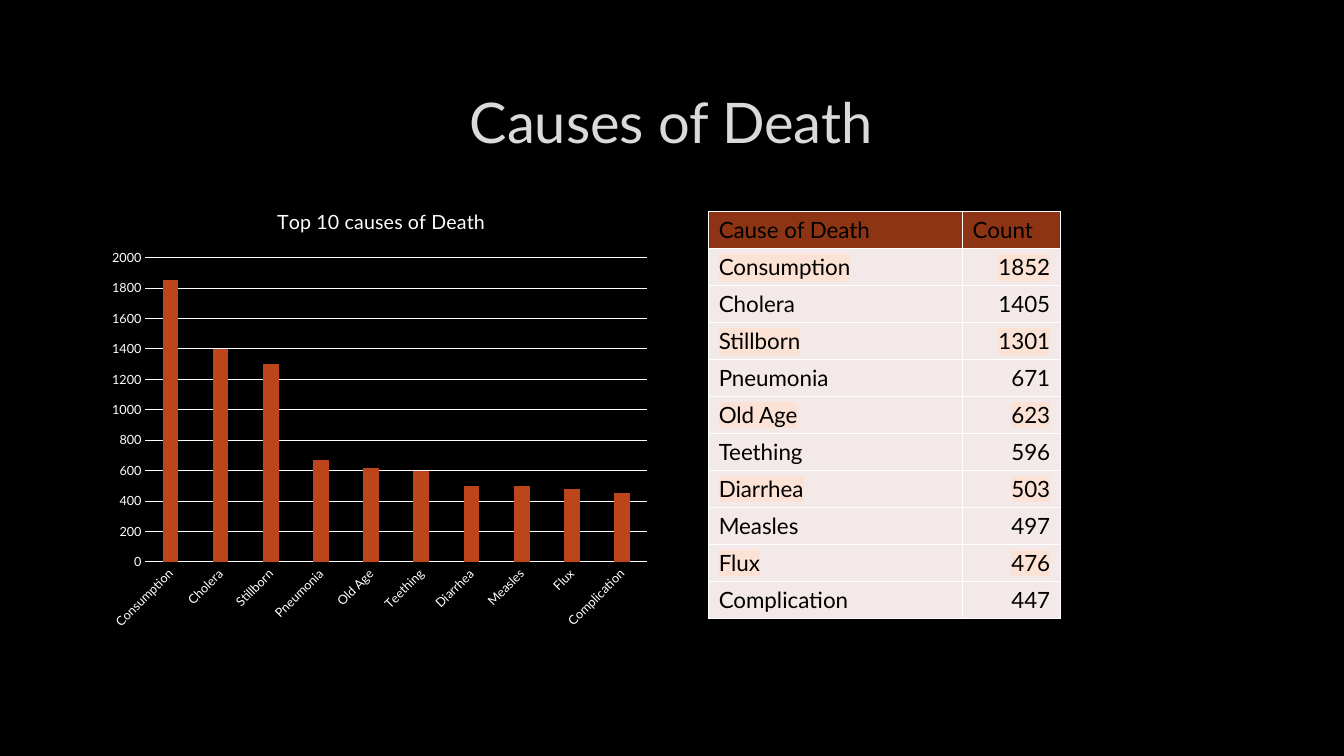
from dataclasses import dataclass

from lxml.etree import SubElement
from pptx import Presentation
from pptx.chart.data import CategoryChartData
from pptx.dml.color import RGBColor
from pptx.enum.chart import XL_CHART_TYPE as ChartType, XL_TICK_MARK as TickMark
from pptx.enum.text import MSO_ANCHOR as Anchor, PP_ALIGN as Align
from pptx.oxml import parse_xml
from pptx.oxml.ns import nsdecls, qn
from pptx.util import Cm, Pt


@dataclass(frozen=True)
class Theme:
    font: str = "Lato"
    background: str = "000000"
    title: str = "DADADA"
    title_outline: str = "404040"
    line: str = "FFFFFF"
    chart_text: str = "FFFFFF"
    bar: str = "BC451B"
    table_text: str = "000000"
    header: str = "8D3414"
    body: str = "F3E9E8"
    highlight: str = "FBE2D5"
    title_size: float = 40
    table_size: float = 16
    chart_title_size: float = 14
    chart_size: float = 10
    axis_size: float = 9
    grid_width: float = 0.75
    border_width: float = 1


CAUSES = {
    "Consumption": 1852, "Cholera": 1405, "Stillborn": 1301, "Pneumonia": 671,
    "Old Age": 623, "Teething": 596, "Diarrhea": 503, "Measles": 497,
    "Flux": 476, "Complication": 447,
}


def solid_fill(color, inner=""):
    return f'<a:solidFill><a:srgbClr val="{color}">{inner}</a:srgbClr></a:solidFill>'


def set_layout(parent, position, **fractions):
    """Place a chart part by fractions of the chart's size."""
    for old in parent.findall(qn("c:layout")):
        parent.remove(old)
    layout = parse_xml(f"<c:layout {nsdecls('c')}><c:manualLayout/></c:layout>")
    manual = layout[0]
    if "w" in fractions:
        SubElement(manual, qn("c:layoutTarget"), val="inner")
    for mode in ("xMode", "yMode"):
        SubElement(manual, qn(f"c:{mode}"), val="edge")
    for name, value in fractions.items():
        SubElement(manual, qn(f"c:{name}"), val=str(value))
    parent.insert(position, layout)


class SlideBuilder:
    def __init__(self, slide, theme):
        self.slide = slide
        self.theme = theme
        fill = slide.background.fill
        fill.solid()
        fill.fore_color.rgb = RGBColor.from_string(theme.background)

    def style_font(self, font, size, color):
        font.size = Pt(size)
        font.bold = False
        font.color.rgb = RGBColor.from_string(color)
        font.name = self.theme.font

    def style_line(self, line):
        line.color.rgb = RGBColor.from_string(self.theme.line)
        line.width = Pt(self.theme.grid_width)

    def add_title(self, text, left, top, width, height):
        theme = self.theme
        box = self.slide.shapes.add_textbox(Cm(left), Cm(top), Cm(width), Cm(height))
        frame = box.text_frame
        frame.word_wrap = True
        frame.vertical_anchor = Anchor.MIDDLE
        frame.text = text
        para = frame.paragraphs[0]
        para.alignment = Align.CENTER
        span = para.runs[0]
        self.style_font(span.font, theme.title_size, theme.title)
        fill = solid_fill(theme.title_outline, '<a:alpha val="10000"/>')
        outline = parse_xml(f'<a:ln {nsdecls("a")} w="{Pt(0.75)}">{fill}</a:ln>')
        span.font._element.insert(0, outline)

    def add_column_chart(self, title, values, left, top, width, height):
        theme = self.theme
        data = CategoryChartData()
        data.categories = list(values)
        data.add_series("Series 1", [round(value, -1) for value in values.values()])
        chart = self.slide.shapes.add_chart(
            ChartType.COLUMN_CLUSTERED, Cm(left), Cm(top), Cm(width), Cm(height), data
        ).chart
        self.style_font(chart.font, theme.chart_size, theme.chart_text)
        chart.has_legend = False

        chart.has_title = True
        heading = chart.chart_title
        heading.include_in_layout = False
        heading.text_frame.text = title
        span = heading.text_frame.paragraphs[0].runs[0]
        self.style_font(span.font, theme.chart_title_size, theme.chart_text)
        set_layout(heading._element, 1, x=0.31, y=0.03)

        plot = chart.plots[0]
        plot.gap_width = 219
        plot.overlap = -27
        plot.vary_by_categories = False
        fill = plot.series[0].format.fill
        fill.solid()
        fill.fore_color.rgb = RGBColor.from_string(theme.bar)
        plot_area = chart._chartSpace.chart.plotArea
        set_layout(plot_area, 0, x=0.08, y=0.15, w=0.9, h=0.68)

        for axis in (chart.category_axis, chart.value_axis):
            axis.major_tick_mark = axis.minor_tick_mark = TickMark.NONE
            self.style_font(axis.tick_labels.font, theme.axis_size, theme.chart_text)
        self.style_line(chart.category_axis.format.line)
        labels = chart.category_axis._element.find(qn("c:txPr"))
        labels.find(qn("a:bodyPr")).set("rot", str(-45 * 60000))
        value_axis = chart.value_axis
        value_axis.minimum_scale, value_axis.maximum_scale = 0, 2000
        value_axis.major_unit = 200
        value_axis.format.line.fill.background()
        self.style_line(value_axis.major_gridlines.format.line)

    def add_table(self, header, values, left, top, column_widths, row_height):
        rows = [header, *values.items()]
        table = self.slide.shapes.add_table(
            len(rows), len(header), Cm(left), Cm(top),
            Cm(sum(column_widths)), Cm(row_height * len(rows)),
        ).table
        for column, width in zip(table.columns, column_widths):
            column.width = Cm(width)
        for index, row in enumerate(rows):
            table.rows[index].height = Cm(row_height)
            for column, value in enumerate(row):
                self.fill_cell(
                    table.cell(index, column), str(value),
                    self.theme.body if index else self.theme.header,
                    Align.RIGHT if index and column else Align.LEFT,
                    highlighted=index % 2 == 1,
                )

    def fill_cell(self, cell, text, color, alignment, highlighted):
        theme = self.theme
        cell.vertical_anchor = Anchor.BOTTOM
        cell.fill.solid()
        cell.fill.fore_color.rgb = RGBColor.from_string(color)
        cell.text_frame.text = text
        para = cell.text_frame.paragraphs[0]
        para.alignment = alignment
        font = para.runs[0].font
        self.style_font(font, theme.table_size, theme.table_text)
        if highlighted:
            font._element.find(qn("a:solidFill")).addnext(parse_xml(
                f'<a:highlight {nsdecls("a")}><a:srgbClr val="{theme.highlight}"/></a:highlight>'
            ))
        properties = cell._tc.get_or_add_tcPr()
        for position, side in enumerate("LRTB"):
            properties.insert(position, parse_xml(
                f'<a:ln{side} {nsdecls("a")} w="{Pt(theme.border_width)}">'
                f"{solid_fill(theme.line)}</a:ln{side}>"
            ))


def main():
    deck = Presentation()
    deck.slide_width, deck.slide_height = Cm(33.87), Cm(19.05)
    page = SlideBuilder(deck.slides.add_slide(deck.slide_layouts[6]), Theme())
    page.add_title("Causes of Death", 2.54, 1.7, 28.75, 2.7)
    page.add_table(("Cause of Death", "Count"), CAUSES, 17.86, 5.33, (6.4, 2.46), 0.92)
    page.add_column_chart("Top 10 causes of Death", CAUSES, 2.54, 4.8, 14.05, 11.28)
    deck.save("out.pptx")


if __name__ == "__main__":
    main()
